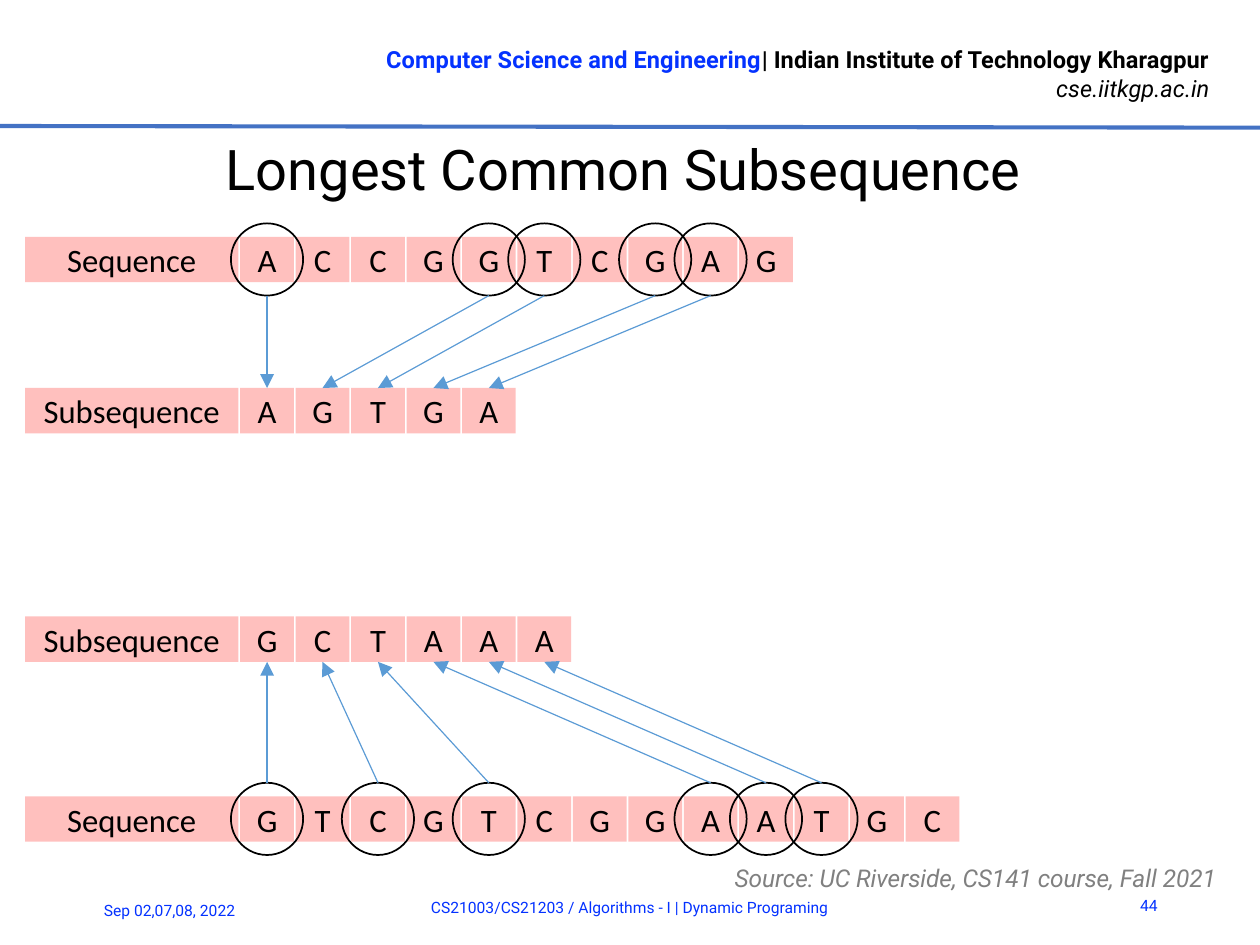
from lxml import etree
from pptx import Presentation
from pptx import util as u
from pptx.dml.color import RGBColor
from pptx.enum import shapes, text
from pptx.oxml.ns import qn

BLACK = RGBColor(0x00, 0x00, 0x00)
BLUE = RGBColor(0x04, 0x32, 0xFF)
RULE_BLUE = RGBColor(0x44, 0x72, 0xC4)
ARROW_BLUE = RGBColor(0x5B, 0x9B, 0xD5)
PINK = RGBColor(0xFF, 0xAC, 0xA9)
GRAY = RGBColor(0x80, 0x80, 0x80)

WIDTH = 7.5
HEIGHT = WIDTH * 3 / 4
PITCH, GAP, CELL_HEIGHT = 0.33, 0.01, 0.27
LABEL_WIDTH = 1.28
RING = 0.43
LEFT, CENTER, RIGHT = text.PP_ALIGN.LEFT, text.PP_ALIGN.CENTER, text.PP_ALIGN.RIGHT


def inches(*lengths):
    """Convert lengths in inches to slide units."""
    return [u.Inches(length) for length in lengths]


def style_run(r, size, color, font="Roboto", bold=False, italic=False):
    """Set the font of one run."""
    r.font.name, r.font.size, r.font.color.rgb = font, u.Pt(size), color
    r.font.bold, r.font.italic = bold, italic


def add_text(s, box, words, size, color, align, italic=False):
    """Add a vertically centred one-line text box and return it."""
    sp = s.shapes.add_textbox(*inches(*box))
    tf = sp.text_frame
    tf.word_wrap, tf.vertical_anchor = True, text.MSO_ANCHOR.MIDDLE
    p = tf.paragraphs[0]
    p.text, p.alignment = words, align
    style_run(p.runs[0], size, color, italic=italic)
    return sp


def add_line(s, start, end, color, weight):
    """Add a straight line without a shadow."""
    line = s.shapes.add_connector(shapes.MSO_CONNECTOR.STRAIGHT, *inches(*start, *end))
    line.line.color.rgb, line.line.width = color, u.Pt(weight)
    etree.SubElement(line._element.spPr, qn("a:effectLst"))
    return line


def add_header(s, box):
    """Write the department, institute and address above a full-width rule."""
    left, top, width, height = box
    sp = s.shapes.add_textbox(*inches(*box))
    tf = sp.text_frame
    tf.word_wrap = True
    name, address = tf.paragraphs[0], tf.add_paragraph()
    name.alignment = address.alignment = RIGHT
    for p, words, color, bold in (
        (name, "Computer Science and Engineering", BLUE, True),
        (name, "| Indian Institute of Technology Kharagpur", BLACK, True),
        (address, "cse.iitkgp.ac.in", BLACK, False),
    ):
        r = p.add_run()
        r.text = words
        style_run(r, 10.13, color, bold=bold, italic=not bold)
    rule = top + height + 0.09
    add_line(s, (0, rule), (WIDTH, rule + 0.01), RULE_BLUE, 1.75)


def add_title(s, box):
    """Write the slide title across its box."""
    sp = add_text(s, box, "Longest Common Subsequence", 24, BLACK, CENTER)
    tf = sp.text_frame
    tf.margin_left = tf.margin_right = tf.margin_bottom = 0
    tf.margin_top = u.Inches(0.01)


def add_cell(s, box, words):
    """Add one translucent pink cell with centred text."""
    sp = s.shapes.add_shape(shapes.MSO_SHAPE.RECTANGLE, *inches(*box))
    sp.shadow.inherit = False
    sp.line.fill.background()
    sp.fill.solid()
    sp.fill.fore_color.rgb = PINK
    color = sp._element.spPr.find(qn("a:solidFill"))[0]
    etree.SubElement(color, qn("a:alpha"), val="75000")
    tf = sp.text_frame
    tf.margin_left = tf.margin_right = tf.margin_top = tf.margin_bottom = 0
    tf.vertical_anchor = text.MSO_ANCHOR.MIDDLE
    p = tf.paragraphs[0]
    p.text, p.alignment = words, CENTER
    style_run(p.runs[0], 14, BLACK, font="Calibri")
    return sp


def add_row(s, left, top, label, letters):
    """Add a label cell followed by one cell per letter and return the letter cells."""
    add_cell(s, (left, top, LABEL_WIDTH - GAP, CELL_HEIGHT), label)
    return [
        add_cell(s, (left + LABEL_WIDTH + i * PITCH, top, PITCH - GAP, CELL_HEIGHT), letter)
        for i, letter in enumerate(letters)
    ]


def add_matching(s, box, sequence, subsequence, picks, sequence_on_top):
    """Ring the picked letters of a sequence and point each to its subsequence cell."""
    left, top, width, height = box
    bottom = top + height - CELL_HEIGHT
    seq_top, sub_top = (top, bottom) if sequence_on_top else (bottom, top)
    add_row(s, left, seq_top, "Sequence", sequence)
    targets = add_row(s, left, sub_top, "Subsequence", subsequence)
    middle = seq_top + CELL_HEIGHT / 2
    edge = middle + (RING / 2 if sequence_on_top else -RING / 2)
    for pick, target in zip(picks, targets):
        x = left + LABEL_WIDTH + pick * PITCH + (PITCH - GAP) / 2
        ring = s.shapes.add_shape(
            shapes.MSO_SHAPE.OVAL, *inches(x - RING / 2, middle - RING / 2, RING, RING))
        ring.shadow.inherit = False
        ring.fill.background()
        ring.line.color.rgb, ring.line.width = BLACK, u.Pt(0.75)
        arrow = add_line(s, (x, edge), (x, sub_top), ARROW_BLUE, 0.5)
        arrow.end_connect(target, 0 if sequence_on_top else 2)
        etree.SubElement(arrow.line._get_or_add_ln(), qn("a:tailEnd"), type="triangle")


def add_footer(s, box):
    """Write the source credit, date, course and slide number in the bottom band."""
    left, top, width, height = box
    credit = add_text(s, (left + 0.57 * width, top, 0.42 * width, 0.2),
                      "Source: UC Riverside, CS141 course, Fall 2021",
                      10.5, GRAY, LEFT, italic=True)
    p = credit.text_frame.paragraphs[0]
    p.line_spacing, p.space_before, p.space_after = u.Pt(18), u.Pt(3), u.Pt(3)
    for x, y, w, words, align in (
        (0.52, 0.18, 1.31, "Sep 02,07,08, 2022", LEFT),
        (1.24, 0.16, 5.02, "CS21003/CS21203 / Algorithms - I | Dynamic Programing", CENTER),
        (6.62, 0.15, 0.37, "44", RIGHT),
    ):
        add_text(s, (left + x, top + y, w, 0.3), words, 6.75, BLUE, align)


def main():
    """Build the slide and save it."""
    prs = Presentation()
    prs.slide_width, prs.slide_height = inches(WIDTH, HEIGHT)
    s = prs.slides.add_slide(prs.slide_layouts[6])
    add_header(s, (1.91, 0.22, 5.39, 0.44))
    add_title(s, (0.24, 0.79, 6.94, 0.41))
    add_matching(s, (0.15, 1.41, 4.56, 1.17), "ACCGGTCGAG", "AGTGA",
                 (0, 4, 5, 7, 8), True)
    add_matching(s, (0.15, 3.67, 5.55, 1.34), "GTCGTCGGAATGC", "GCTAAA",
                 (0, 2, 4, 8, 9, 10), False)
    add_footer(s, (0, 5.09, WIDTH, HEIGHT - 5.09))
    prs.save("out.pptx")


if __name__ == "__main__":
    main()
